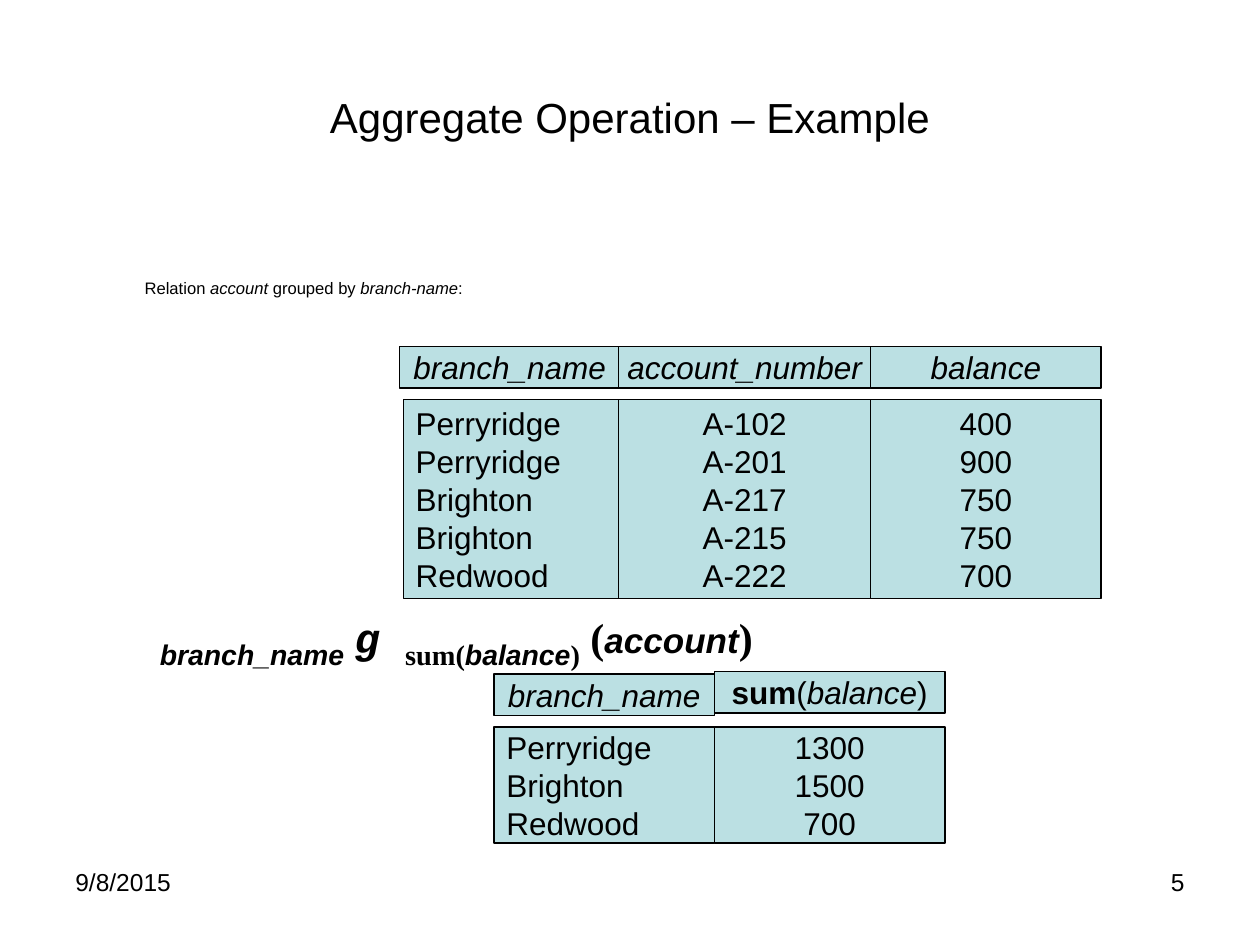
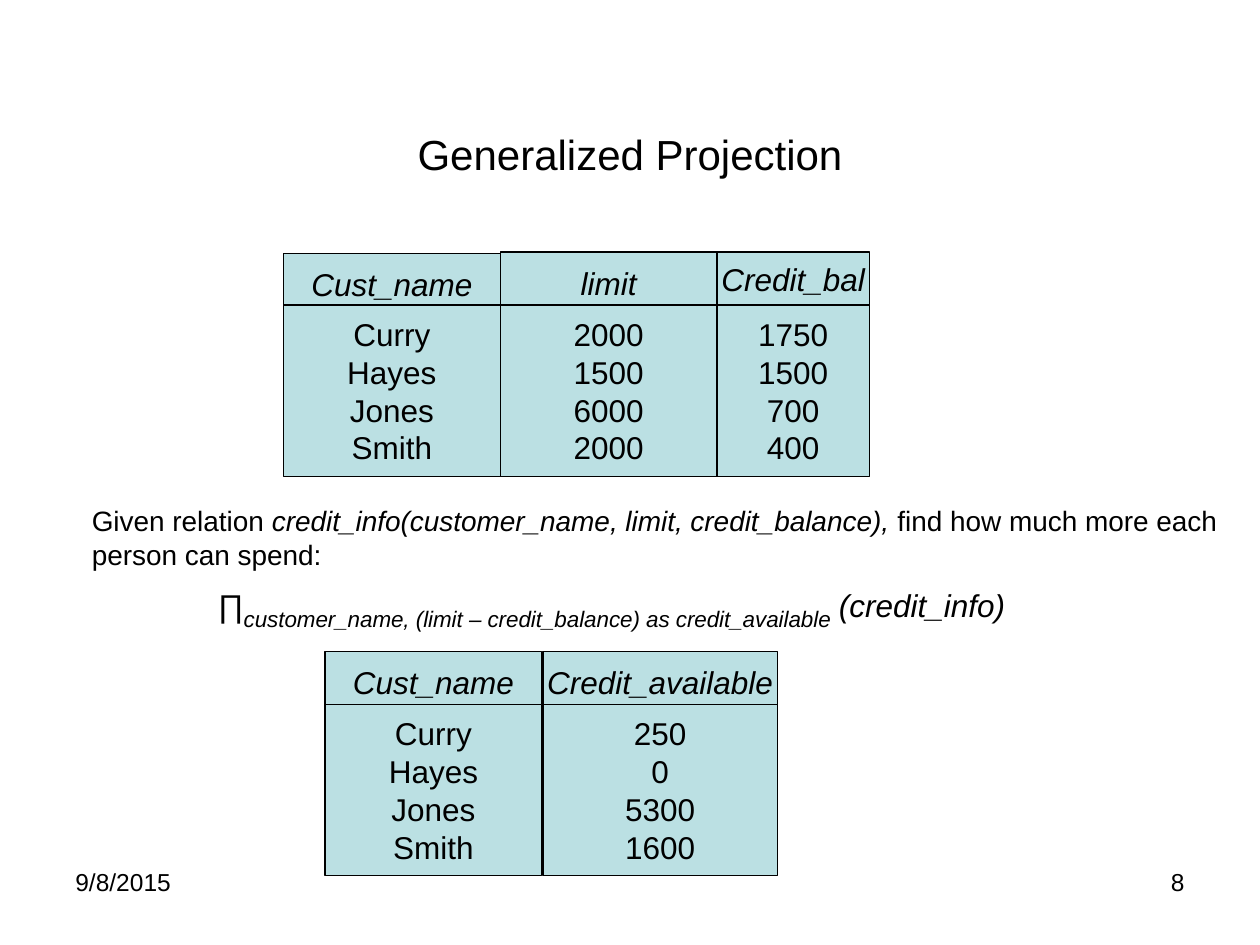
from dataclasses import dataclass

from pptx import Presentation
from pptx.dml.color import RGBColor
from pptx.enum.shapes import MSO_SHAPE
from pptx.enum.text import MSO_ANCHOR, PP_ALIGN
from pptx.util import Inches, Pt

BLACK = RGBColor(0x00, 0x00, 0x00)
PALE_TEAL = RGBColor(0xBB, 0xE0, 0xE3)
SANS, SERIF, MONO = "Arial", "Times New Roman", "Courier New"
LEFT, CENTER, RIGHT = PP_ALIGN.LEFT, PP_ALIGN.CENTER, PP_ALIGN.RIGHT
TOP, MIDDLE = MSO_ANCHOR.TOP, MSO_ANCHOR.MIDDLE
RECTANGLE = MSO_SHAPE.RECTANGLE

TITLE_SIZE, CELL_SIZE, FOOTER_SIZE = 24, 18, 14
HANGING = 0.38
DATE = "9/8/2015"


@dataclass
class Span:
    text: str
    size: float = CELL_SIZE
    font: str = SANS
    bold: bool = False
    italic: bool = False
    subscript: bool = False


@dataclass
class Line:
    spans: list[Span]
    align: PP_ALIGN = LEFT
    margin: float = 0
    indent: float = 0
    space_before: float = 0


@dataclass
class Column:
    left: float
    width: float
    head: list[Span]
    values: list[str]
    align: PP_ALIGN = CENTER
    head_shift: float = 0  # moves the heading sideways
    head_rise: float = 0  # lifts the heading
    head_height: float | None = None


@dataclass
class Relation:
    head_top: float
    head_height: float
    body_top: float
    body_height: float
    columns: list[Column]


def fill_text(shape, lines: list[Line], anchor: MSO_ANCHOR, wrap: bool = True) -> None:
    frame = shape.text_frame
    frame.word_wrap = wrap
    frame.vertical_anchor = anchor
    for number, line in enumerate(lines):
        para = frame.add_paragraph() if number else frame.paragraphs[0]
        para.alignment = line.align
        para.space_before = Pt(line.space_before)
        properties = para._p.get_or_add_pPr()
        properties.set("marL", str(Inches(line.margin)))
        properties.set("indent", str(Inches(line.indent)))
        para.font.color.rgb = BLACK
        for span in line.spans:
            run = para.add_run()
            run.text = span.text
            font = run.font
            font.name, font.size = span.font, Pt(span.size)
            font.bold, font.italic = span.bold, span.italic
            font.color.rgb = BLACK
            if span.subscript:
                run._r.get_or_add_rPr().set("baseline", "-25000")


def add_text(page, left: float, top: float, width: float, height: float,
             lines: list[Line], anchor: MSO_ANCHOR = TOP) -> None:
    box = page.shapes.add_textbox(Inches(left), Inches(top), Inches(width), Inches(height))
    fill_text(box, lines, anchor)


def add_panel(page, left: float, top: float, width: float, height: float,
              lines: list[Line]) -> None:
    panel = page.shapes.add_shape(
        RECTANGLE, Inches(left), Inches(top), Inches(width), Inches(height))
    panel.shadow.inherit = False
    panel.fill.solid()
    panel.fill.fore_color.rgb = PALE_TEAL
    panel.line.color.rgb = BLACK
    panel.line.width = Pt(0.75)
    fill_text(panel, lines, MIDDLE, wrap=False)


def add_relation(page, relation: Relation) -> None:
    for column in relation.columns:
        add_panel(page, column.left + column.head_shift, relation.head_top - column.head_rise,
                  column.width, column.head_height or relation.head_height,
                  [Line(column.head, CENTER)])
        add_panel(page, column.left, relation.body_top, column.width, relation.body_height,
                  [Line([Span(value)], column.align) for value in column.values])


def add_page(deck, title: str, title_top: float, title_height: float, number: int):
    """Add a blank page with the shared title and footer."""
    page = deck.slides.add_slide(deck.slide_layouts[6])
    add_text(page, 0.5, title_top, 9, title_height,
             [Line([Span(title, TITLE_SIZE)], CENTER)], MIDDLE)
    for left, text, align in ((7.17, str(number), RIGHT), (0.5, DATE, LEFT)):
        add_text(page, left, 6.83, 2.33, 0.52, [Line([Span(text, FOOTER_SIZE)], align)])
    return page


def name(text: str) -> list[Span]:
    return [Span(text, italic=True)]


BRANCH_ACCOUNTS = Relation(2.75, 0.33, 3.17, 1.58, [
    Column(3.2, 1.75, name("branch_name"),
           ["Perryridge", "Perryridge", "Brighton", "Brighton", "Redwood"], LEFT,
           head_shift=-0.03),
    Column(4.91, 2, name("account_number"), ["A-102", "A-201", "A-217", "A-215", "A-222"]),
    Column(6.91, 1.83, name("balance"), ["400", "900", "750", "750", "700"]),
])

BRANCH_SUMS = Relation(5.35, 0.33, 5.77, 0.92, [
    Column(3.92, 1.75, name("branch_name"), ["Perryridge", "Brighton", "Redwood"], LEFT),
    Column(5.67, 1.83,
           [Span("sum", bold=True), Span("("), Span("balance", italic=True), Span(")")],
           ["1300", "1500", "700"], head_rise=0.02),
])

CUSTOMERS = ["Curry", "Hayes", "Jones", "Smith"]

CREDIT_INFO = Relation(2, 0.49, 2.42, 1.36, [
    Column(2.25, 1.72, name("Cust_name"), CUSTOMERS, head_rise=-0.01),
    Column(5.69, 1.21, name("Credit_bal"), ["1750", "1500", "700", "400"],
           head_height=0.42),
    Column(3.97, 1.72, name("limit"), ["2000", "1500", "6000", "2000"]),
])

CREDIT_AVAILABLE = Relation(5.17, 0.49, 5.59, 1.36, [
    Column(2.58, 1.72, name("Cust_name"), CUSTOMERS),
    Column(4.31, 1.86, name("Credit_available"), ["250", "0", "5300", "1600"]),
])


def build_aggregate_page(deck) -> None:
    page = add_page(deck, "Aggregate Operation – Example", 0.3, 1.25, 5)
    add_text(page, 0.67, 2.08, 9, 0.39, [Line([
        Span("\t", 15.2),
        Span("Relation ", 9.5),
        Span("account", 9.5, italic=True),
        Span(" grouped by ", 9.5),
        Span("branch-name", 9.5, italic=True),
        Span(":", 9.5),
    ], margin=HANGING, indent=-HANGING, space_before=5)])
    # Grouping formula
    add_text(page, 1.17, 4.75, 7.69, 0.64, [Line([
        Span("branch_name", 28, SANS, True, True, True),
        Span(" ", 24, SERIF, True),
        Span("g ", 24, MONO, True, True),
        Span("sum(", 28, SERIF, True, subscript=True),
        Span("balance", 28, SANS, True, True, True),
        Span(")", 28, SERIF, True, subscript=True),
        Span(" (", 24, SERIF, True),
        Span("account", 20, SANS, True, True),
        Span(")", 24, SERIF, True),
    ])])
    add_relation(page, BRANCH_ACCOUNTS)
    add_relation(page, BRANCH_SUMS)


def build_projection_page(deck) -> None:
    page = add_page(deck, "Generalized Projection", 0.89, 0.66, 8)
    # Question and projection formula
    add_text(page, 0.25, 3.92, 9.75, 1.75, [
        Line([
            Span("\t"),
            Span("Given relation ", 16),
            Span("credit_info(customer_name, limit, credit_balance),", 16, italic=True),
            Span(" find how much more each person can spend:", 16),
        ], margin=HANGING, indent=-HANGING, space_before=4),
        Line([
            Span("∏"),
            Span("customer_name, (limit – credit_balance) as credit_available", 22,
                 italic=True, subscript=True),
            Span(" (credit_info)", italic=True),
        ], margin=1.38, space_before=4.5),
    ])
    add_relation(page, CREDIT_INFO)
    add_relation(page, CREDIT_AVAILABLE)


def main() -> None:
    deck = Presentation()
    deck.slide_width, deck.slide_height = Inches(10), Inches(7.5)
    build_aggregate_page(deck)
    build_projection_page(deck)
    deck.save("out.pptx")


if __name__ == "__main__":
    main()
